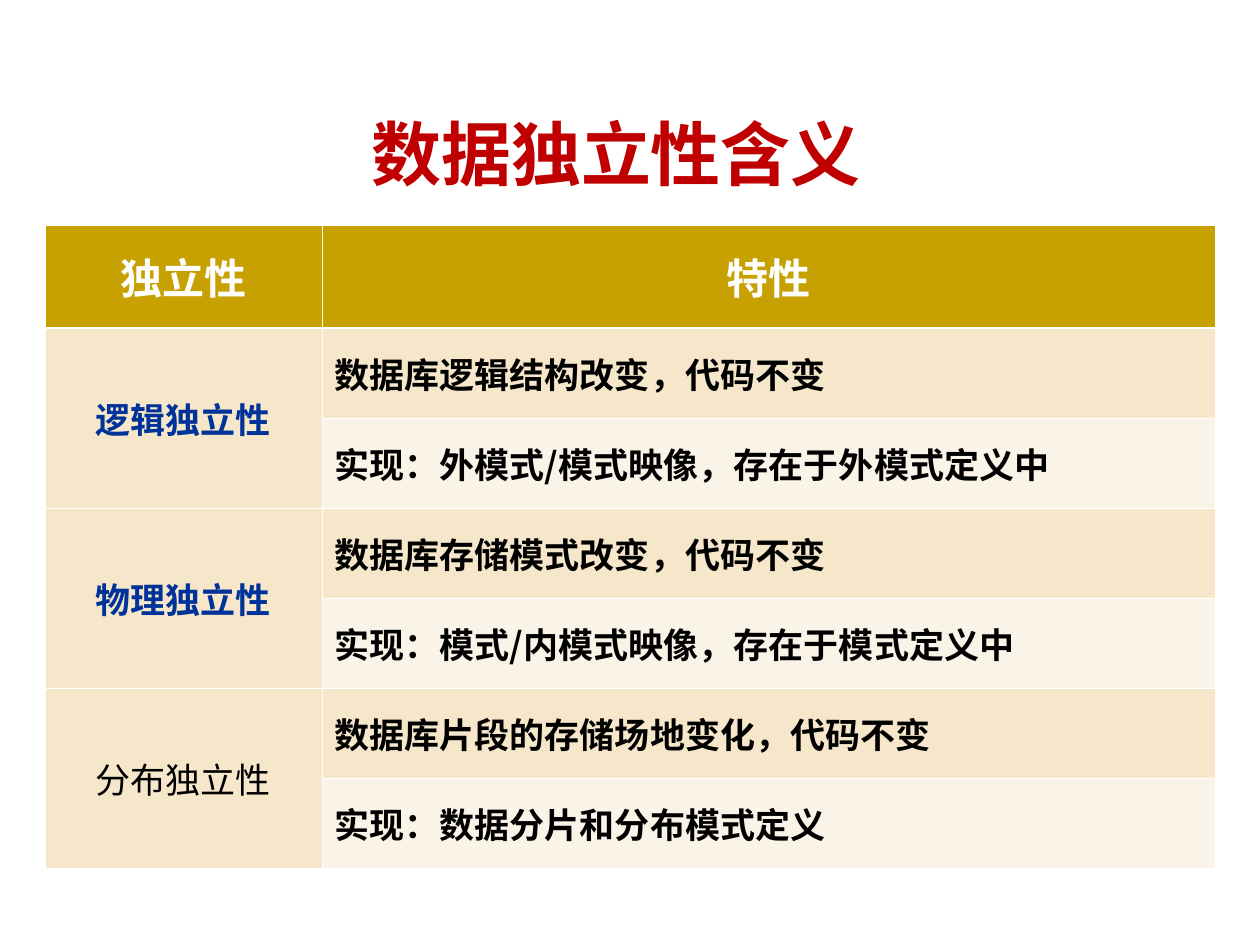
from dataclasses import dataclass

from lxml import etree
from pptx import Presentation
from pptx import util as u
from pptx.dml.color import RGBColor
from pptx.enum import text
from pptx.oxml import ns

EMU_PER_PX = 914400 / 126


@dataclass(frozen=True)
class Theme:
    font: str = "Noto Sans CJK SC"
    title: str = "C00000"
    white: str = "FFFFFF"
    name: str = "003399"
    body: str = "000000"
    header_fill: str = "C7A101"
    dark_fill: str = "F6E7CB"
    light_fill: str = "FAF3E7"
    title_size: int = 40
    header_size: int = 24
    body_size: int = 20
    thin_line: float = 0.45
    header_line: float = 1.47


THEME = Theme()
COLUMN_WIDTHS = (277, 893)
HEADER_HEIGHT = 103
ROW_HEIGHT = 90
HEADINGS = ("独立性", "特性")
# Name, its colour, whether it is bold, its two features
INDEPENDENCES = [
    ("逻辑独立性", THEME.name, True,
     ("数据库逻辑结构改变，代码不变", "实现：外模式/模式映像，存在于外模式定义中")),
    ("物理独立性", THEME.name, True,
     ("数据库存储模式改变，代码不变", "实现：模式/内模式映像，存在于模式定义中")),
    ("分布独立性", THEME.body, False,
     ("数据库片段的存储场地变化，代码不变", "实现：数据分片和分布模式定义")),
]


def px(length):
    return u.Emu(round(length * EMU_PER_PX))


def write(frame, words, size, color, bold=True, centred=True):
    paragraph = frame.paragraphs[0]
    paragraph.alignment = text.PP_ALIGN.CENTER if centred else text.PP_ALIGN.LEFT
    run = paragraph.add_run()
    run.text = words
    run.font.size = u.Pt(size)
    run.font.bold = bold
    run.font.color.rgb = RGBColor.from_string(color)
    run.font.name = THEME.font
    east_asian = etree.SubElement(run.font._element, ns.qn("a:ea"))
    east_asian.set("typeface", THEME.font)


def add_title(slide, words):
    frame = slide.shapes.add_textbox(px(26), px(113), px(1180), px(81)).text_frame
    frame.word_wrap = True
    frame.vertical_anchor = text.MSO_ANCHOR.BOTTOM
    frame.margin_top = frame.margin_bottom = 0
    write(frame, words, THEME.title_size, THEME.title)


def set_borders(cell, top, bottom):
    properties = cell._tc.get_or_add_tcPr()
    widths = {"L": THEME.thin_line, "R": THEME.thin_line, "T": top, "B": bottom}
    for side, width in widths.items():
        line = etree.SubElement(properties, ns.qn(f"a:ln{side}"), w=str(u.Pt(width)))
        fill = etree.SubElement(line, ns.qn("a:solidFill"))
        etree.SubElement(fill, ns.qn("a:srgbClr"), val=THEME.white)


def style_cell(cell, row, fill):
    top = THEME.header_line if row == 1 else THEME.thin_line
    bottom = THEME.header_line if row == 0 else THEME.thin_line
    set_borders(cell, top, bottom)
    cell.fill.solid()
    cell.fill.fore_color.rgb = RGBColor.from_string(fill)
    cell.vertical_anchor = text.MSO_ANCHOR.MIDDLE


def add_independence_table(slide):
    heights = [HEADER_HEIGHT] + [ROW_HEIGHT] * (2 * len(INDEPENDENCES))
    table = slide.shapes.add_table(
        len(heights), len(COLUMN_WIDTHS), px(45), px(225),
        px(sum(COLUMN_WIDTHS)), px(sum(heights))).table
    for column, width in zip(table.columns, COLUMN_WIDTHS):
        column.width = px(width)
    for row, height in zip(table.rows, heights):
        row.height = px(height)

    for column, heading in enumerate(HEADINGS):
        cell = table.cell(0, column)
        style_cell(cell, 0, THEME.header_fill)
        write(cell.text_frame, heading, THEME.header_size, THEME.white)

    for group, (name, color, bold, features) in enumerate(INDEPENDENCES):
        first = 1 + 2 * group
        name_cell = table.cell(first, 0)
        name_cell.merge(table.cell(first + 1, 0))
        write(name_cell.text_frame, name, THEME.body_size, color, bold)
        fills = (THEME.dark_fill, THEME.light_fill)
        for row, (feature, fill) in enumerate(zip(features, fills), first):
            style_cell(table.cell(row, 0), row, THEME.dark_fill)
            feature_cell = table.cell(row, 1)
            style_cell(feature_cell, row, fill)
            write(feature_cell.text_frame, feature, THEME.body_size, THEME.body,
                  centred=False)


def main():
    deck = Presentation()
    deck.slide_width, deck.slide_height = px(1260), px(945)
    slide = deck.slides.add_slide(deck.slide_layouts[6])
    add_title(slide, "数据独立性含义")
    add_independence_table(slide)
    deck.save("out.pptx")


if __name__ == "__main__":
    main()
